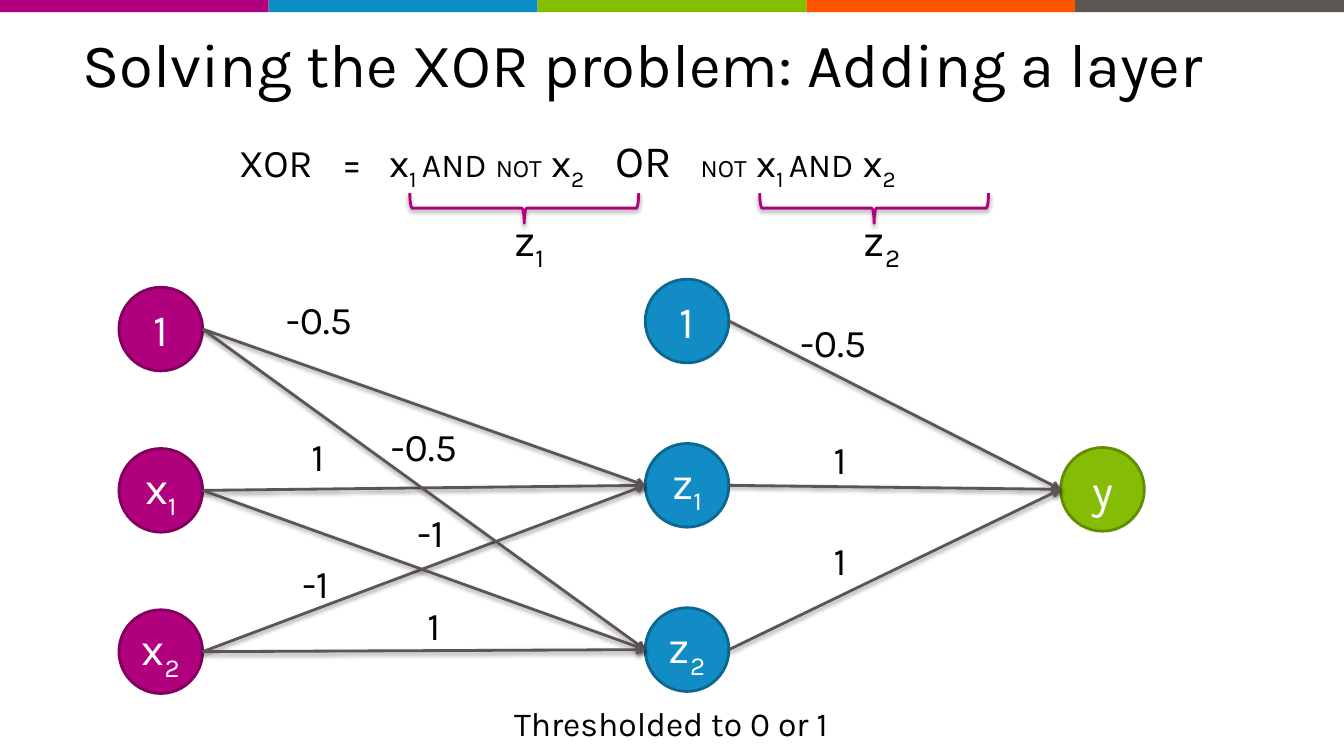
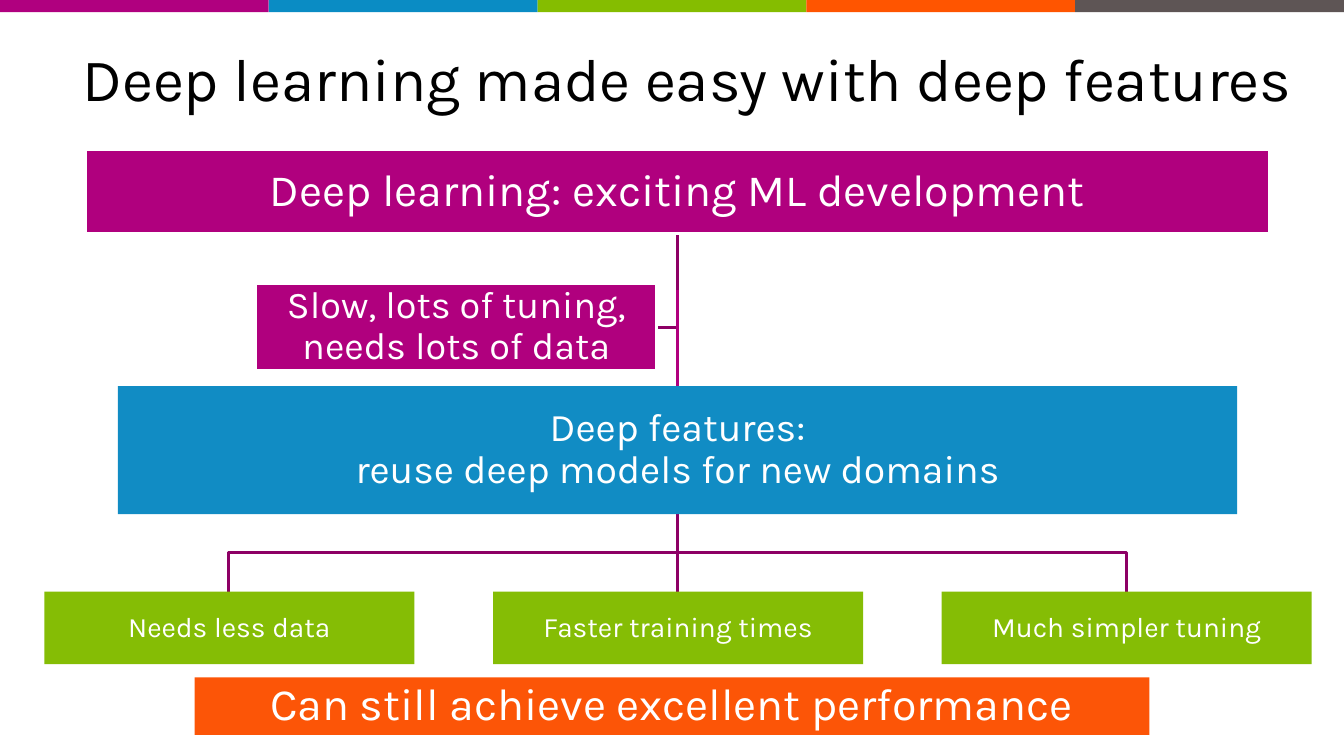
"""Build two slides on neural networks: an XOR network and deep features."""
from lxml import etree
from pptx import Presentation
from pptx.dml.color import RGBColor
from pptx.enum.shapes import MSO_CONNECTOR, MSO_SHAPE
from pptx.enum.text import MSO_ANCHOR, MSO_AUTO_SIZE, PP_ALIGN
from pptx.oxml import parse_xml
from pptx.oxml.ns import nsdecls, qn
from pptx.util import Inches, Pt

RECT, OVAL, BRACE = MSO_SHAPE.RECTANGLE, MSO_SHAPE.OVAL, MSO_SHAPE.LEFT_BRACE
STRAIGHT = MSO_CONNECTOR.STRAIGHT
LEFT, CENTER = PP_ALIGN.LEFT, PP_ALIGN.CENTER
MIDDLE = MSO_ANCHOR.MIDDLE
GROW = MSO_AUTO_SIZE.SHAPE_TO_FIT_TEXT
FONT = "Karla"
BLACK, WHITE = RGBColor(0, 0, 0), RGBColor(255, 255, 255)
PURPLE, PLUM = RGBColor(0xB0, 0x00, 0x7E), RGBColor(0x82, 0x00, 0x5D)
WINE = RGBColor(0x8D, 0x00, 0x65)
BLUE, NAVY = RGBColor(0x11, 0x8C, 0xC4), RGBColor(0x0D, 0x68, 0x91)
GREEN, MOSS = RGBColor(0x85, 0xBD, 0x05), RGBColor(0x62, 0x8C, 0x04)
ORANGE, GRAY = RGBColor(0xFC, 0x55, 0x07), RGBColor(0x5D, 0x55, 0x55)
BANDS = [RGBColor(0xB0, 0x00, 0x7F), RGBColor(0x0A, 0x8C, 0xC4),
         RGBColor(0x85, 0xBD, 0x00), RGBColor(0xFF, 0x55, 0x00),
         RGBColor(0x5E, 0x55, 0x55)]
SHADOW = (f'<a:effectLst {nsdecls("a")}><a:outerShdw blurRad="40000" '
          'dist="20000" dir="5400000" rotWithShape="0"><a:srgbClr val="000000">'
          '<a:alpha val="38000"/></a:srgbClr></a:outerShdw></a:effectLst>')


def write(box, text, size, ink=BLACK, align=LEFT, more=()):
    """Set the text, then add sized runs; a leading underscore marks a subscript."""
    para = box.text_frame.paragraphs[0]
    para.text = text
    para.alignment = align
    for run in para.runs:
        run.font.size = Pt(size)
    for word, pts in more:
        run = para.add_run()
        run.text = word.lstrip("_")
        run.font.size = Pt(pts)
        if word.startswith("_"):
            run.font._element.set("baseline", "-25000")
    for run in para.runs:
        run.font.name = FONT
        run.font.color.rgb = ink


def draw(slide, kind, spot, fill, edge=None):
    """Add a filled shape, with an outline when an edge colour is given."""
    box = slide.shapes.add_shape(kind, *map(Inches, spot))
    box.shadow.inherit = False
    box.fill.solid()
    box.fill.fore_color.rgb = fill
    if edge is None:
        box.line.fill.background()
    else:
        box.line.color.rgb = edge
        box.line.width = Pt(2)
    box.text_frame.vertical_anchor = MIDDLE
    return box


deck = Presentation()
deck.slide_width, deck.slide_height = Inches(13.33), Inches(7.5)

slides = []
for title, top, width, size in [
        ("Solving the XOR problem: Adding a layer", 0, 12, 44),
        ("Deep learning made easy with deep features", 0.14, 12.61, 43)]:
    slide = deck.slides.add_slide(deck.slide_layouts[6])
    for i, hue in enumerate(BANDS):
        draw(slide, RECT, (i * 13.33 / 5, 0, 13.33 / 5, 0.12), hue)
    box = slide.shapes.add_textbox(
        Inches(0.72), Inches(top), Inches(width), Inches(1.25))
    box.text_frame.word_wrap = True
    box.text_frame.vertical_anchor = MIDDLE
    write(box, title, size)
    slides.append(slide)
net, chart = slides

rule = net.shapes.add_textbox(
    Inches(2.27), Inches(1.27), Inches(7.65), Inches(0.64))
rule.text_frame.word_wrap = True
stops = etree.SubElement(
    rule.text_frame.paragraphs[0]._p.get_or_add_pPr(), qn("a:tabLst"))
for stop in (1.02, 1.49, 3.74, 4.58):
    etree.SubElement(stops, qn("a:tab"), pos=str(Inches(stop)), algn="l")
write(rule, "XOR\t=\tx", 28, more=[
    ("_1 ", 28), ("AND", 24), (" ", 28), ("NOT", 18), (" x", 28),
    ("_2", 28), ("\tOR", 32), ("\t", 28), ("NOT", 18), (" x", 28),
    ("_1 ", 28), ("AND", 24), (" x", 28), ("_2", 28)])

for left in (5.05, 8.52):
    brace = net.shapes.add_shape(
        BRACE, Inches(left), Inches(0.93), Inches(0.3), Inches(2.27))
    brace.rotation = 270
    brace.fill.background()
    brace.line.color.rgb = PURPLE
    brace.line.width = Pt(2)
    brace._element.spPr.append(parse_xml(SHADOW))

SIDE = 0.83
layers = []
for left, top, step, fill, edge, names in [
        (1.18, 2.85, 1.6, PURPLE, PLUM, ["1", "x_1", "x_2"]),
        (6.4, 2.77, 1.63, BLUE, NAVY, ["1", "z_1", "z_2"]),
        (10.52, 4.44, 0, GREEN, MOSS, ["y"])]:
    layer = []
    for i, name in enumerate(names):
        node = draw(net, OVAL, (left, top + i * step, SIDE, SIDE), fill, edge)
        write(node, name[0], 32, WHITE, CENTER,
              [(name[1:], 32)] if name[1:] else [])
        layer.append(node)
    layers.append(layer)

inputs, hidden, output = layers
pairs = [(a, b) for b in hidden[1:] for a in inputs]
pairs += [(a, b) for b in output for a in hidden]
for start, end in pairs:
    arrow = net.shapes.add_connector(
        STRAIGHT, start.left + start.width, start.top + start.height // 2,
        end.left, end.top + end.height // 2)
    arrow.line.color.rgb = GRAY
    arrow.line.width = Pt(2)
    spot = arrow._element.spPr
    etree.SubElement(spot.find(qn("a:ln")), qn("a:tailEnd"), type="arrow")
    spot.append(parse_xml(SHADOW))

for left, top, width, height, text, size in [
        (5, 2.05, 0.57, 0.64, "z_1", 32),
        (8.47, 2.05, 0.59, 0.64, "z_2", 32),
        (2.74, 2.88, 0.9, 0.57, "-0.5", 28),
        (2.99, 4.24, 0.38, 0.57, "1", 28),
        (2.9, 5.5, 0.52, 0.57, "-1", 28),
        (3.78, 4.14, 0.9, 0.57, "-0.5", 28),
        (4.04, 4.99, 0.52, 0.57, "-1", 28),
        (4.14, 5.92, 0.38, 0.57, "1", 28),
        (7.84, 3.11, 0.9, 0.57, "-0.5", 28),
        (8.17, 4.27, 0.38, 0.57, "1", 28),
        (8.17, 5.27, 0.38, 0.57, "1", 28),
        (5, 6.92, 3.47, 0.5, "Thresholded to 0 or 1", 24)]:
    label = net.shapes.add_textbox(
        Inches(left), Inches(top), Inches(width), Inches(height))
    label.text_frame.word_wrap = False
    label.text_frame.auto_size = GROW
    word, mark, sub = text.partition("_")
    write(label, word, size, more=[(mark + sub, size)] if sub else [])

MID, SPAN = 6.72, 4.45
for points in [
        [(MID, 2.32), (MID, 3.25), (6.51, 3.25)],
        [(MID, 5.1), (MID, 5.48), (MID + SPAN, 5.48), (MID + SPAN, 5.87)],
        [(MID, 5.1), (MID, 5.48), (MID - SPAN, 5.48), (MID - SPAN, 5.87)]]:
    spots = [(Inches(x), Inches(y)) for x, y in points]
    form = chart.shapes.build_freeform(*spots[0])
    form.add_line_segments(spots[1:], close=False)
    elbow = form.convert_to_shape()
    elbow.shadow.inherit = False
    elbow.fill.background()
    elbow.line.color.rgb = WINE
    elbow.line.width = Pt(2)

for top, end, hue in [(2.88, 4.06, PURPLE), (5.1, 5.87, WINE)]:
    stem = chart.shapes.add_connector(
        STRAIGHT, Inches(MID), Inches(top), Inches(MID), Inches(end))
    stem.line.color.rgb = hue
    stem.line.width = Pt(2)
    etree.SubElement(stem._element.spPr, qn("a:effectLst"))

cards = [
    ((0.85, 1.48, 11.74, 0.84), PURPLE, WHITE, 32,
     "Deep learning: exciting ML development"),
    ((2.54, 2.81, 3.97, 0.87), PURPLE, WHITE, 27,
     "Slow, lots of tuning,\vneeds lots of data"),
    ((1.17, 3.83, 11.1, 1.27), BLUE, None, 28,
     "Deep features:\vreuse deep models for new domains"),
    ((1.93, 6.72, 9.47, 0.57), ORANGE, None, 32,
     "Can still achieve excellent performance")]
gains = ["Needs less data", "Faster training times", "Much simpler tuning"]
for i, gain in enumerate(gains):
    cards.append(((0.44 + i * SPAN, 5.87, 3.67, 0.72), GREEN, None, 20, gain))
for spot, fill, edge, size, text in cards:
    card = draw(chart, RECT, spot, fill, edge)
    frame = card.text_frame
    frame.margin_left = frame.margin_right = Inches(0.02)
    frame.margin_top = frame.margin_bottom = Inches(0.02)
    write(card, text, size, WHITE, CENTER)
    frame.paragraphs[0].line_spacing = 0.9

deck.save("out.pptx")
